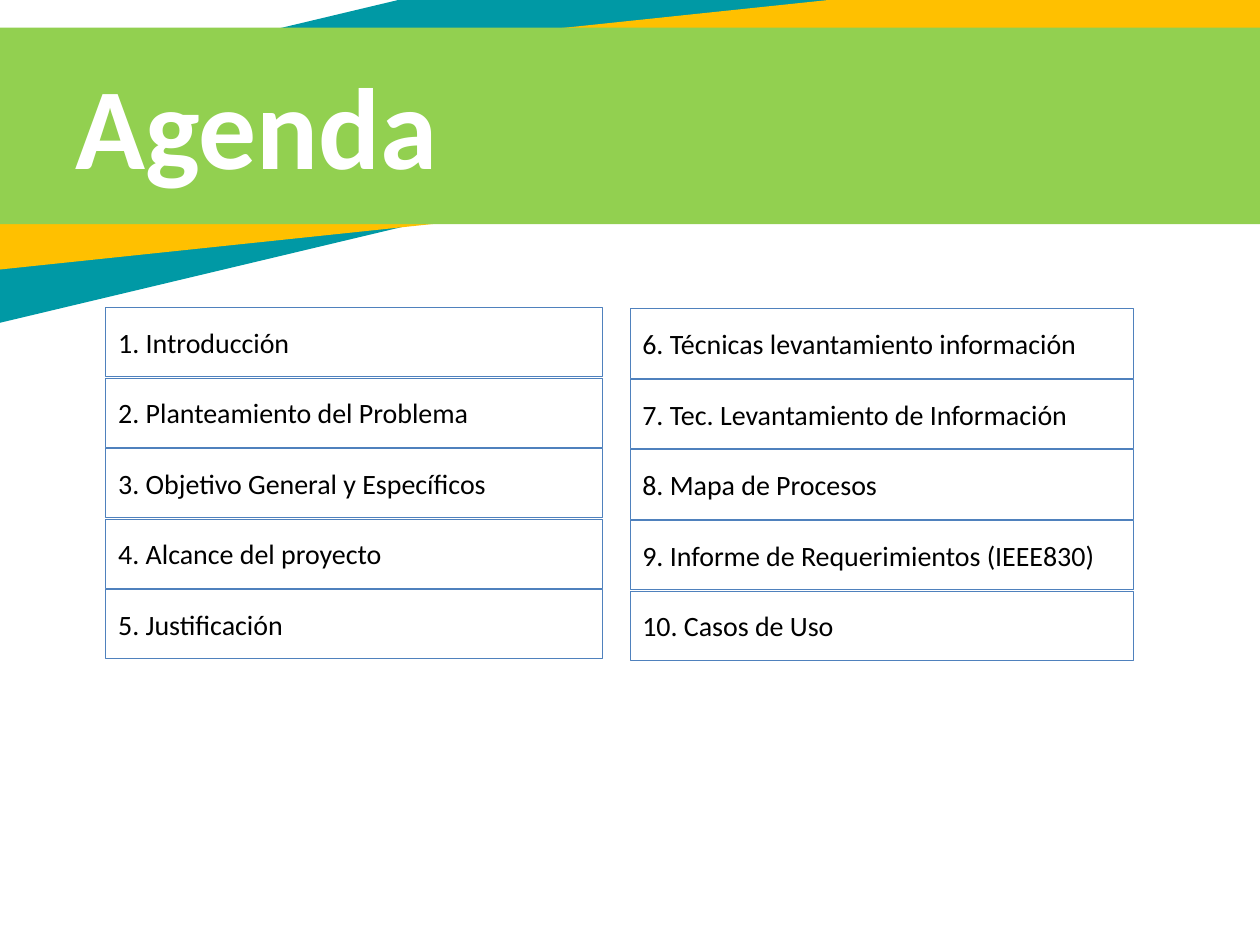
from pptx import Presentation
from pptx import util as u
from pptx.dml.color import RGBColor
from pptx.enum import shapes, text

TITLE = "Agenda"
FONT = "Calibri"

# Header bands, back to front: left, top, width, height, rotation, colour
BANDS = [
    (-2.51, -0.18, 13.06, 1.76, 346.6, "0099A5"),
    (-1.1, 0.2, 11.63, 1.44, 354, "FFC000"),
    (-1.06, 0.22, 11.63, 1.56, 0, "92D050"),
]

# Agenda columns: left, width, top of first row, row pitch, topics
ROW_HEIGHT = 0.55
COLUMNS = [
    (0.84, 3.94, 2.44, 0.56, [
        "Introducción",
        "Planteamiento del Problema",
        "Objetivo General y Específicos",
        "Alcance del proyecto",
        "Justificación",
    ]),
    (5, 4, 2.45, 0.56, [
        "Técnicas levantamiento información",
        "Tec. Levantamiento de Información",
        "Mapa de Procesos",
        "Informe de Requerimientos (IEEE830)",
        "Casos de Uso",
    ]),
]


def color(value):
    return RGBColor.from_string(value)


def add_box(slide, *box):
    sp = slide.shapes.add_shape(shapes.MSO_SHAPE.RECTANGLE, *map(u.Inches, box))
    sp.shadow.inherit = False
    return sp


def write(sp, words, size, ink, bold=False):
    tf = sp.text_frame
    tf.word_wrap = True
    tf.vertical_anchor = text.MSO_ANCHOR.MIDDLE
    p = tf.paragraphs[0]
    p.text = words
    p.alignment = text.PP_ALIGN.LEFT
    p.font.name = FONT
    p.font.size = u.Pt(size)
    p.font.bold = bold
    p.font.color.rgb = color(ink)


prs = Presentation()
prs.slide_width, prs.slide_height = u.Inches(10), u.Inches(7.5)
slide = prs.slides.add_slide(prs.slide_layouts[6])

# Header bands
for *box, angle, fill in BANDS:
    band = add_box(slide, *box)
    band.rotation = angle
    band.fill.solid()
    band.fill.fore_color.rgb = color(fill)
    band.line.fill.background()

# Title
title = slide.shapes.add_textbox(*map(u.Inches, (0.5, 0.49, 6.58, 0.97)))
write(title, TITLE, 66, "FFFFFF", bold=True)

# Agenda topics, numbered across both columns
number = 0
for left, width, top, pitch, topics in COLUMNS:
    for row, topic in enumerate(topics):
        number += 1
        sp = add_box(slide, left, top + row * pitch, width, ROW_HEIGHT)
        sp.fill.background()
        sp.line.color.rgb = color("4F81BD")
        sp.line.width = u.Pt(0.5)
        write(sp, f"{number}. {topic}", 16, "000000")

prs.save("out.pptx")
